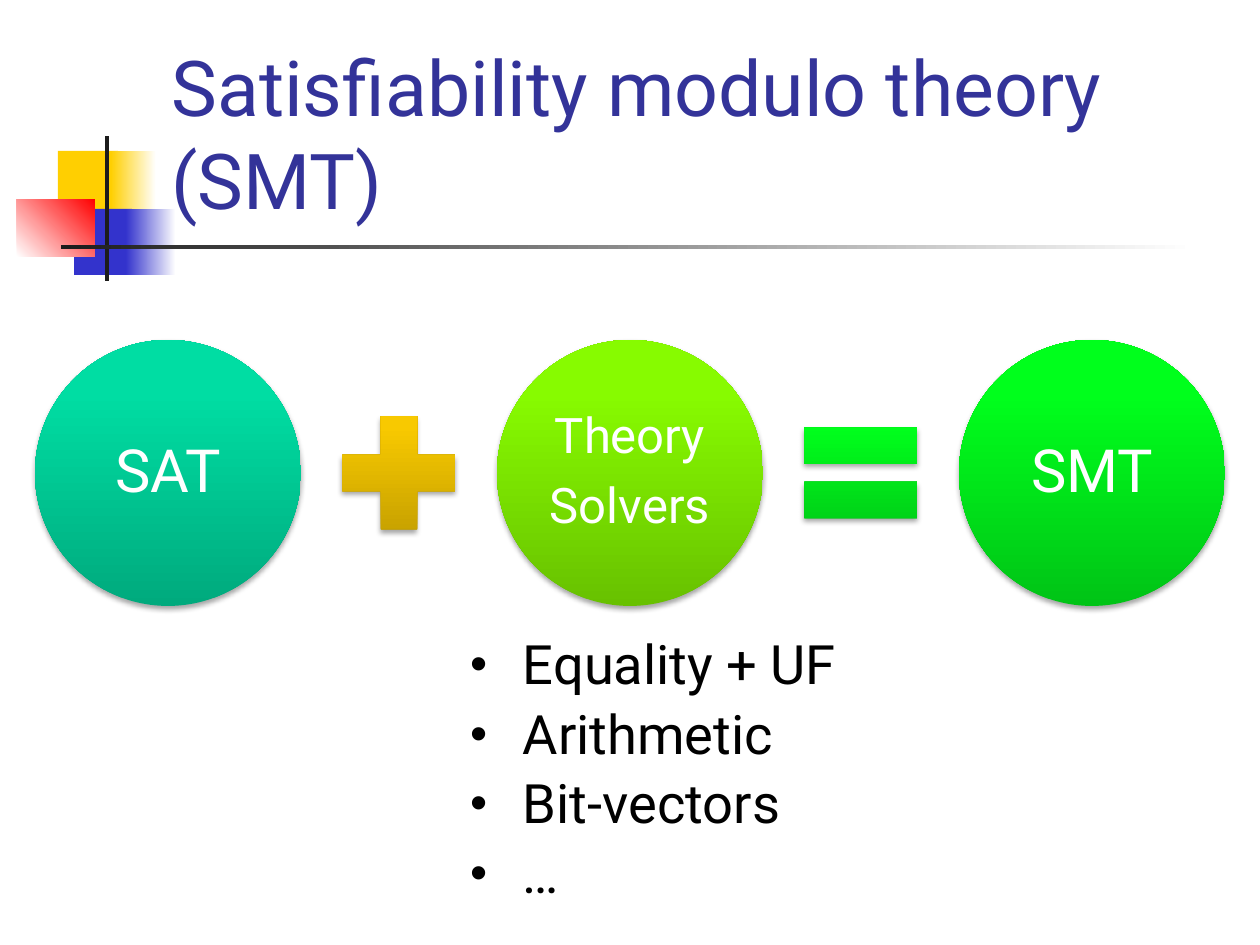
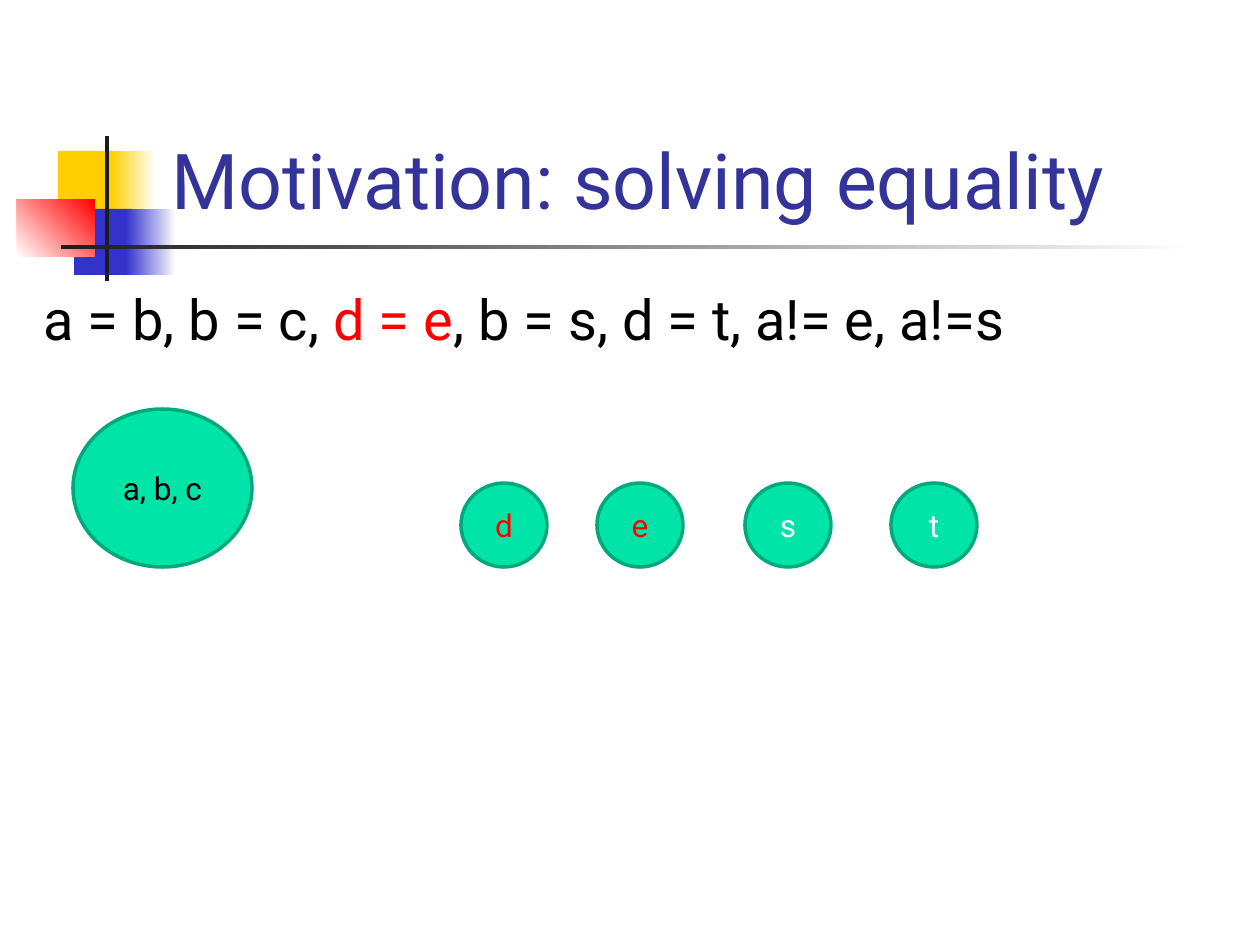
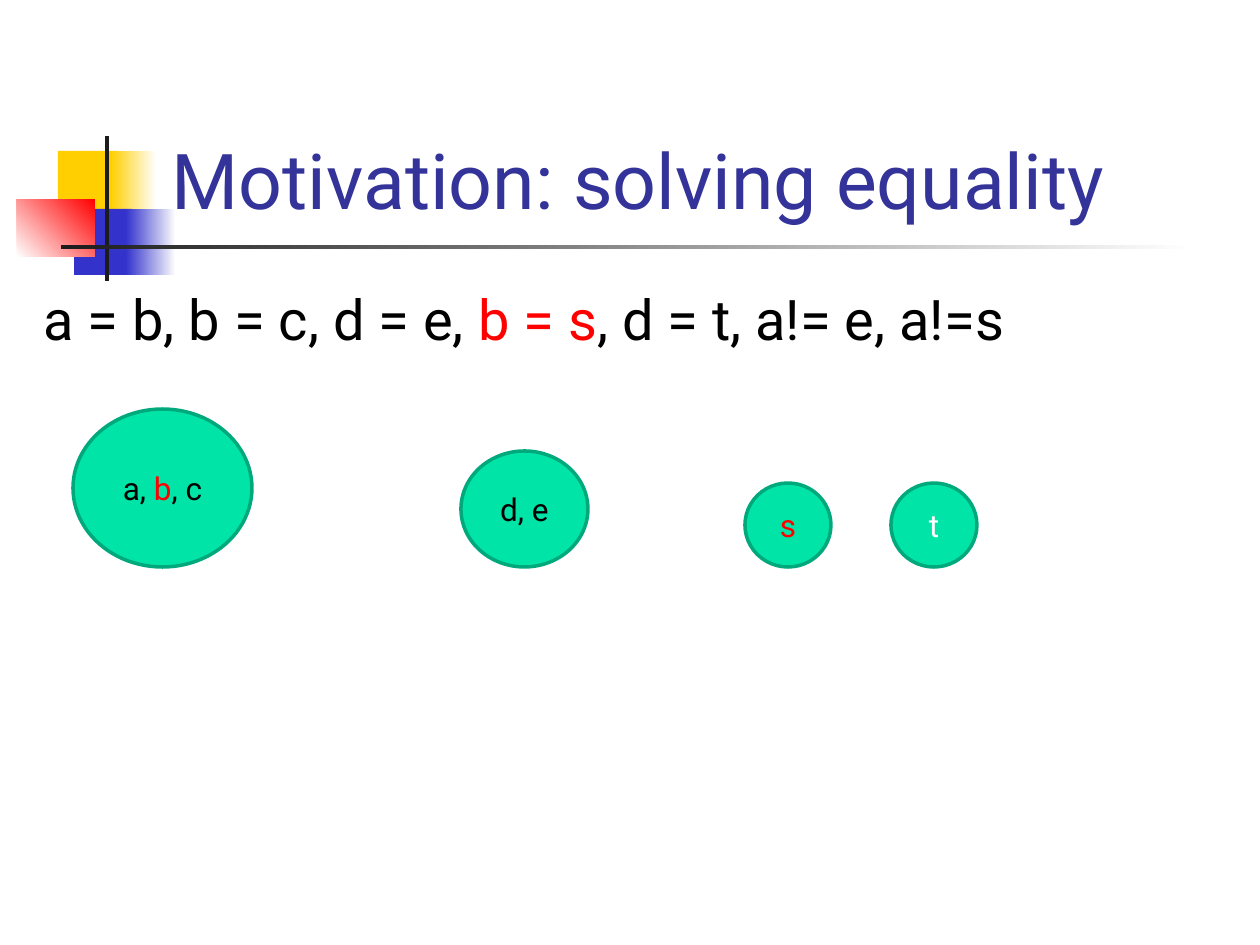
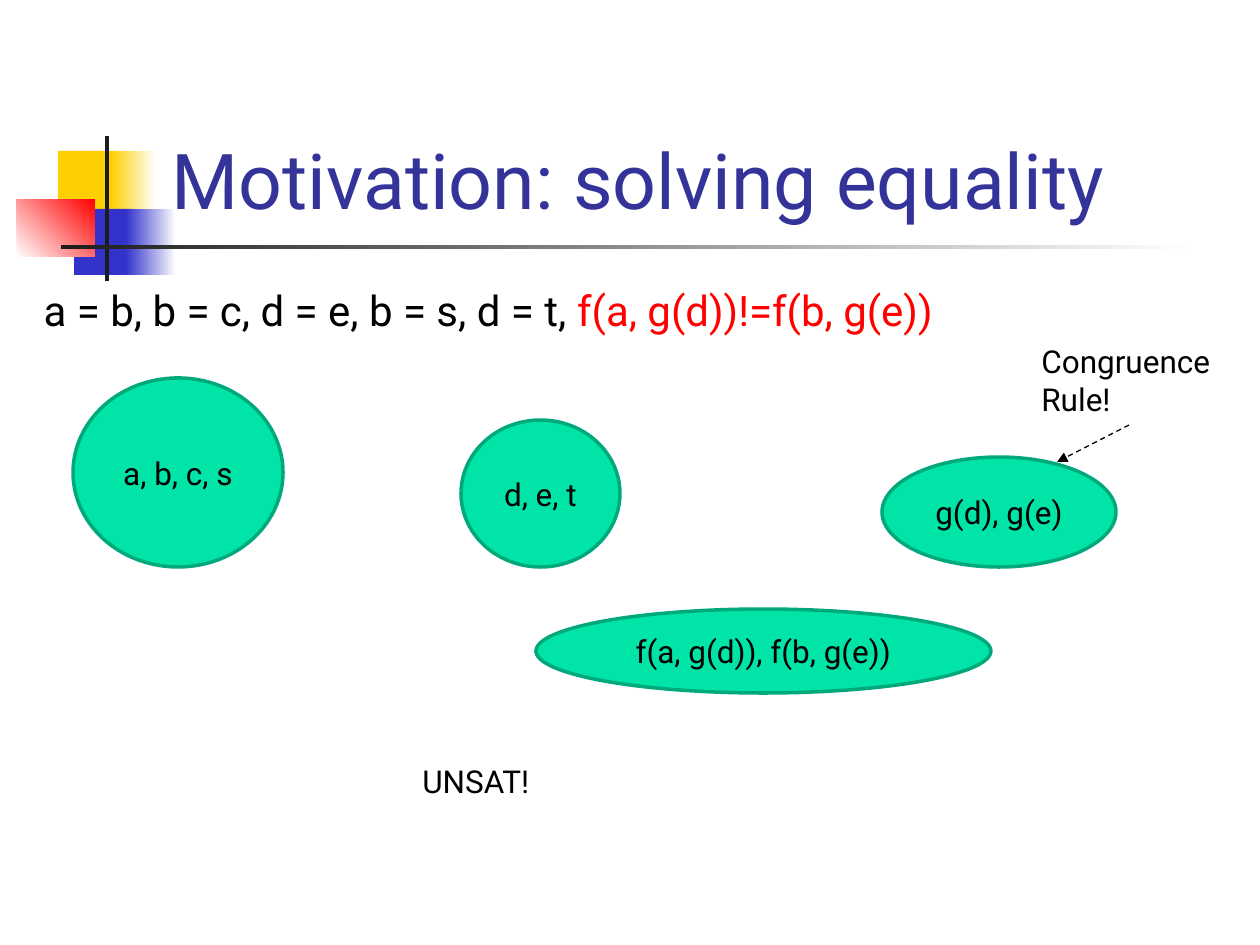
from dataclasses import dataclass

from lxml import etree
from pptx import Presentation
from pptx.dml.color import RGBColor
from pptx.enum.dml import MSO_LINE
from pptx.enum.shapes import MSO_CONNECTOR, MSO_SHAPE
from pptx.enum.text import MSO_ANCHOR, MSO_AUTO_SIZE, PP_ALIGN
from pptx.oxml.ns import qn
from pptx.util import Emu, Pt

RECT, OVAL = MSO_SHAPE.RECTANGLE, MSO_SHAPE.OVAL
PLUS, EQUAL = MSO_SHAPE.MATH_PLUS, MSO_SHAPE.MATH_EQUAL
STRAIGHT, DASH = MSO_CONNECTOR.STRAIGHT, MSO_LINE.DASH
LEFT, CENTER = PP_ALIGN.LEFT, PP_ALIGN.CENTER
BOTTOM = MSO_ANCHOR.BOTTOM
FIXED, GROW = MSO_AUTO_SIZE.NONE, MSO_AUTO_SIZE.SHAPE_TO_FIT_TEXT

SCALE = 914400 / 126  # EMU in one px
WIDTH, HEIGHT = 1260, 945
TITLE_BOX = (159, 29, 1074, 202)
BODY_BOX = (31, 278, 1202, 567)


@dataclass(frozen=True)
class Theme:
    font: str = "Roboto"
    # colours
    title: str = "333399"
    text: str = "000000"
    white: str = "FFFFFF"
    hot: str = "FF0000"
    yellow: str = "FFCF01"
    blue: str = "3333CC"
    ink: str = "1C1C1C"
    node: str = "00E4A8"
    node_line: str = "00A97C"
    # gradients from bottom to top, with stops at 0, 80 and 100 percent
    teal: tuple = ("00AA7D", "00DDA3", "00DEA4")
    gold: tuple = ("BF9B00", "F8C900", "F9CA00")
    lime: tuple = ("68C100", "87FB00", "88FC00")
    green: tuple = ("00C416", "00FF1C", "01FF1D")
    # type sizes
    title_size: int = 44
    formula_size: int = 32
    formula_small: int = 24
    circle_size: int = 34
    circle_small: int = 28
    list_size: int = 31
    label_size: int = 18


T = Theme()


def px(n):
    return Emu(round(n * SCALE))


def rgb(code):
    return RGBColor.from_string(code)


def place(sp, box):
    sp.left, sp.top, sp.width, sp.height = map(px, box)


def write(tf, text, size=T.label_size, color=T.text, hot="", align=LEFT,
          spacing=None, before=0, after=0, inset=None, fit=None):
    """Write one paragraph per line; the first match of hot is in red."""
    tf.word_wrap = True
    if fit is not None:
        tf.auto_size = fit
    if inset is not None:
        tf.margin_left = tf.margin_right = px(inset)
        tf.margin_top = tf.margin_bottom = px(inset)
    for i, line in enumerate(text.split("\n")):
        p = tf.add_paragraph() if i else tf.paragraphs[0]
        p.alignment = align
        p.space_before, p.space_after = Pt(before * size), Pt(after * size)
        if spacing:
            p.line_spacing = spacing
        for part in filter(None, line.partition(hot) if hot else [line]):
            r = p.add_run()
            r.text = part
            r.font.name, r.font.size = T.font, Pt(size)
            r.font.color.rgb = rgb(T.hot if part == hot else color)


def set_bullets(tf, indent=0, char=None):
    for p in tf.paragraphs:
        pPr = p._p.get_or_add_pPr()
        pPr.set("marL", str(px(indent)))
        pPr.set("indent", str(-px(indent)))
        if char:
            etree.SubElement(pPr, qn("a:buSzPct")).set("val", "90000")
            etree.SubElement(pPr, qn("a:buChar")).set("char", char)
        else:
            etree.SubElement(pPr, qn("a:buNone"))


def paint_gradient(sp, stops, angle):
    """Fill with (percent, colour) stops; angle runs counterclockwise."""
    sp.fill.gradient()
    sp.fill.gradient_angle = angle
    stop_list = sp._element.spPr.find(qn("a:gradFill")).find(qn("a:gsLst"))
    for gs in list(stop_list):
        stop_list.remove(gs)
    for percent, color in stops:
        gs = etree.SubElement(stop_list, qn("a:gs"), pos=str(percent * 1000))
        etree.SubElement(gs, qn("a:srgbClr"), val=color)


def add_soft_shadow(sp):
    effects = sp._element.spPr.find(qn("a:effectLst"))
    shadow = etree.SubElement(effects, qn("a:outerShdw"), blurRad=str(Pt(3.1)),
                              dist=str(Pt(1.8)), dir="5400000", rotWithShape="0")
    color = etree.SubElement(shadow, qn("a:srgbClr"), val="000000")
    etree.SubElement(color, qn("a:alpha"), val="35000")


def add_shape(s, kind, box, fill=None, line=None):
    sp = s.shapes.add_shape(kind, *map(px, box))
    sp.shadow.inherit = False
    if fill:
        sp.fill.solid()
        sp.fill.fore_color.rgb = rgb(fill)
    if line:
        sp.line.color.rgb = rgb(line)
        sp.line.width = Pt(2)
    else:
        sp.line.fill.background()
    return sp


def add_master_band(prs, s):
    """Draw the coloured squares and the rule, then move them to the master."""
    parts = [  # box, start colour, end colour, angle
        ((58, 151, 60, 66), T.yellow, None, 0),
        ((111, 151, 45, 66), T.yellow, T.white, 0),
        ((74, 209, 58, 66), T.blue, None, 0),
        ((126, 209, 50, 66), T.blue, T.white, 0),
        ((17, 199, 78, 58), T.white, T.hot, 45),
        ((105, 136, 4, 145), T.ink, None, 0),
        ((61, 245, 1134, 4), T.ink, T.white, 0),
    ]
    tree = prs.slide_master.shapes.element
    for i, (box, start, end, angle) in enumerate(parts):
        sp = add_shape(s, RECT, box, fill=start)
        if end:
            paint_gradient(sp, [(0, start), (100, end)], angle)
        sp._element.nvSpPr.cNvPr.id = 100 + i
        tree.insert(2 + i, sp._element)  # behind the placeholders


def add_slide(prs, title):
    s = prs.slides.add_slide(prs.slide_layouts[1])
    place(s.shapes.title, TITLE_BOX)
    tf = s.shapes.title.text_frame
    tf.vertical_anchor = BOTTOM
    write(tf, title, size=T.title_size, color=T.title, fit=FIXED)
    return s


def add_body(s, box, text, indent=0, bullet=None, **style):
    body = s.placeholders[1]
    place(body, box)
    write(body.text_frame, text, before=0.2, fit=FIXED, **style)
    set_bullets(body.text_frame, indent, bullet)


def add_equation(s, box):
    """Set circles and signs on one line, with centres at equal steps."""
    x, y, w, h = box
    terms = [  # kind, size, gradient, text, type size
        (OVAL, h, T.teal, "SAT", T.circle_size),
        (PLUS, 154, T.gold, "", 0),
        (OVAL, h, T.lime, "Theory\nSolvers", T.circle_small),
        (EQUAL, 154, T.green, "", 0),
        (OVAL, h, T.green, "SMT", T.circle_size),
    ]
    step = (w - h) / (len(terms) - 1)
    for i, (kind, d, colors, text, size) in enumerate(terms):
        cx, cy = x + h / 2 + i * step, y + h / 2
        sp = add_shape(s, kind, (cx - d / 2, cy - d / 2, d, d))
        paint_gradient(sp, zip((0, 80, 100), colors), 90)
        add_soft_shadow(sp)
        if text:
            write(sp.text_frame, text, size=size, color=T.white, align=CENTER,
                  spacing=0.9, after=0.35, inset=6)


def add_nodes(s, nodes, floor=567):
    """Stand ellipses on the floor; a node is x, width, height, text, format."""
    for x, w, h, text, style in nodes:
        sp = add_shape(s, OVAL, (x, floor - h, w, h), T.node, T.node_line)
        write(sp.text_frame, text, align=CENTER, **style)


def add_note(s, box, text):
    write(s.shapes.add_textbox(*map(px, box)).text_frame, text, fit=GROW)


def add_dashed_arrow(s, start, end):
    line = s.shapes.add_connector(STRAIGHT, *map(px, start + end))
    line.line.color.rgb = rgb(T.text)
    line.line.width = Pt(0.75)
    line.line.dash_style = DASH
    etree.SubElement(line.line._get_or_add_ln(), qn("a:tailEnd"), type="triangle")
    etree.SubElement(line._element.spPr, qn("a:effectLst"))


def build_overview(prs):
    s = add_slide(prs, "Satisfiability modulo theory (SMT)")
    add_master_band(prs, s)
    add_equation(s, (35, 340, 1190, 266))
    add_body(s, (470, 638, 412, 276), "Equality + UF\nArithmetic\nBit-vectors\n…",
             indent=53, bullet="•", size=T.list_size, spacing=0.9, inset=0)


def build_equality(prs, formula, hot, nodes, size=T.formula_size):
    s = add_slide(prs, "Motivation: solving equality")
    add_body(s, BODY_BOX, formula, hot=hot, size=size)
    add_nodes(s, nodes)
    return s


def build_congruence(prs):
    clash = "f(a, g(d))!=f(b, g(e))"
    s = build_equality(prs, "a = b, b = c, d = e, b = s, d = t, " + clash, clash, [
        (882, 234, 110, "g(d), g(e)", {}),
        (73, 210, 189, "a, b, c, s", {}),
        (461, 159, 147, "d, e, t", {}),
    ], T.formula_small)
    add_nodes(s, [(536, 455, 84, "f(a, g(d)), f(b, g(e))", {})], floor=693)
    add_note(s, (1029, 336, 199, 89), "Congruence\nRule!")
    add_dashed_arrow(s, (1129, 425), (1057, 462))
    add_note(s, (410, 756, 252, 50), "UNSAT!")


def main():
    prs = Presentation()
    prs.slide_width, prs.slide_height = px(WIDTH), px(HEIGHT)
    build_overview(prs)

    formula = "a = b, b = c, d = e, b = s, d = t, a!= e, a!=s"
    small = (86, 84)
    plain = {"color": T.white}
    build_equality(prs, formula, "d = e", [
        (73, 179, 158, "a, b, c", {}),
        (461, *small, "d", {"hot": "d"}),
        (597, *small, "e", {"hot": "e"}),
        (745, *small, "s", plain),
        (891, *small, "t", plain),
    ])
    build_equality(prs, formula, "b = s", [
        (73, 179, 158, "a, b, c", {"hot": "b"}),
        (461, 127, 116, "d, e", {}),
        (745, *small, "s", {"hot": "s"}),
        (891, *small, "t", plain),
    ])
    build_congruence(prs)
    prs.save("out.pptx")


if __name__ == "__main__":
    main()
